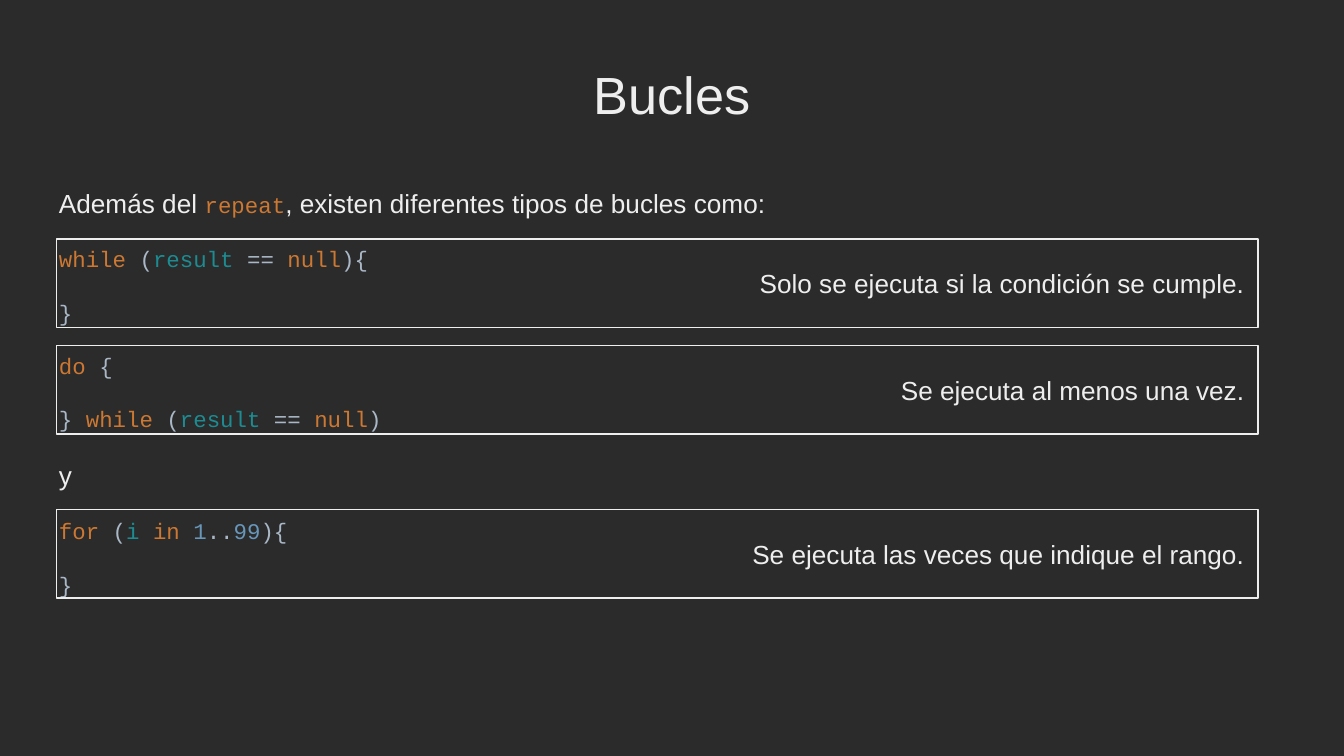
from pptx import Presentation
from pptx.dml.color import RGBColor
from pptx.enum import shapes, text
from pptx.util import Inches, Pt

BACKGROUND, LIGHT = "2B2B2B", "EEEEEE"
KEYWORD, PLAIN, NAME, NUMBER = "CC7832", "A9B7C6", "1C8C92", "6897BB"
PROSE_FONT, CODE_FONT = "Arial", "Courier New"

CONDITION = [("(", PLAIN), ("result ", NAME), ("== ", PLAIN), ("null", KEYWORD)]
CODE_LINES = {
    "while": [("while ", KEYWORD), *CONDITION, ("){", PLAIN)],
    "close": [("}", PLAIN)],
    "do": [("do ", KEYWORD), ("{", PLAIN)],
    "do_while": [("} ", PLAIN), ("while ", KEYWORD), *CONDITION, (")", PLAIN)],
    "for": [("for ", KEYWORD), ("(", PLAIN), ("i ", NAME), ("in ", KEYWORD),
            ("1", NUMBER), ("..", PLAIN), ("99", NUMBER), ("){", PLAIN)],
}


def color(value):
    return RGBColor.from_string(value)


def add_run(paragraph, words, size=14, font=PROSE_FONT, fill=LIGHT):
    run = paragraph.add_run()
    run.text = words
    run.font.size = Pt(size)
    run.font.name = font
    run.font.color.rgb = color(fill)


def add_code(paragraph, pieces):
    for words, fill in pieces:
        add_run(paragraph, words, 12, CODE_FONT, fill)


def format_frame(frame, anchor=text.MSO_ANCHOR.TOP):
    frame.word_wrap = True
    frame.auto_size = text.MSO_AUTO_SIZE.NONE
    frame.vertical_anchor = anchor
    frame.margin_left = frame.margin_right = Inches(0.1)
    frame.margin_top = frame.margin_bottom = Inches(0.1)


def place_title(slide, left, top, width, height):
    title = slide.shapes.title
    title.left, title.top = Inches(left), Inches(top)
    title.width, title.height = Inches(width), Inches(height)
    format_frame(title.text_frame)
    paragraph = title.text_frame.paragraphs[0]
    paragraph.alignment = text.PP_ALIGN.CENTER
    add_run(paragraph, "Bucles", 28)


def add_body(slide, left, top, width, height):
    box = slide.shapes.add_textbox(
        Inches(left), Inches(top), Inches(width), Inches(height))
    frame = box.text_frame
    format_frame(frame)

    # Introduction
    paragraph = frame.paragraphs[0]
    paragraph.line_spacing = Pt(19.4)
    add_run(paragraph, "Además del ")
    add_code(paragraph, [("repeat", KEYWORD)])
    add_run(paragraph, ", existen diferentes tipos de bucles como:")

    # Loops, with one joining word between them
    for key in ("while", "close", "do", "do_while", "y", "for", "close"):
        paragraph = frame.add_paragraph()
        paragraph.space_before = Pt(12)
        if key in CODE_LINES:
            paragraph.line_spacing = Pt(16.6)
            add_code(paragraph, CODE_LINES[key])
        else:
            paragraph.line_spacing = Pt(19.4)
            add_run(paragraph, key)


def add_explanation(slide, left, top, width, height, words):
    shape = slide.shapes.add_shape(
        shapes.MSO_SHAPE.RECTANGLE,
        Inches(left), Inches(top), Inches(width), Inches(height))
    shape.shadow.inherit = False
    shape.fill.background()
    shape.line.color.rgb = color(LIGHT)
    shape.line.width = Pt(0.75)
    format_frame(shape.text_frame, text.MSO_ANCHOR.MIDDLE)
    paragraph = shape.text_frame.paragraphs[0]
    paragraph.alignment = text.PP_ALIGN.RIGHT
    add_run(paragraph, words)


def main():
    presentation = Presentation()
    # Widescreen, 16:9
    presentation.slide_width = Inches(10)
    presentation.slide_height = Inches(10 * 9 / 16)
    slide = presentation.slides.add_slide(presentation.slide_layouts[5])
    slide.background.fill.solid()
    slide.background.fill.fore_color.rgb = color(BACKGROUND)

    place_title(slide, 0.34, 0.36, 9.32, 0.87)
    add_body(slide, 0.34, 1.26, 9.32, 3.74)

    # Frames around each loop
    for top, words in (
        (1.78, "Solo se ejecuta si la condición se cumple."),
        (2.57, "Se ejecuta al menos una vez."),
        (3.79, "Se ejecuta las veces que indique el rango."),
    ):
        add_explanation(slide, 0.42, top, 8.94, 0.66, words)

    presentation.save("out.pptx")


if __name__ == "__main__":
    main()
